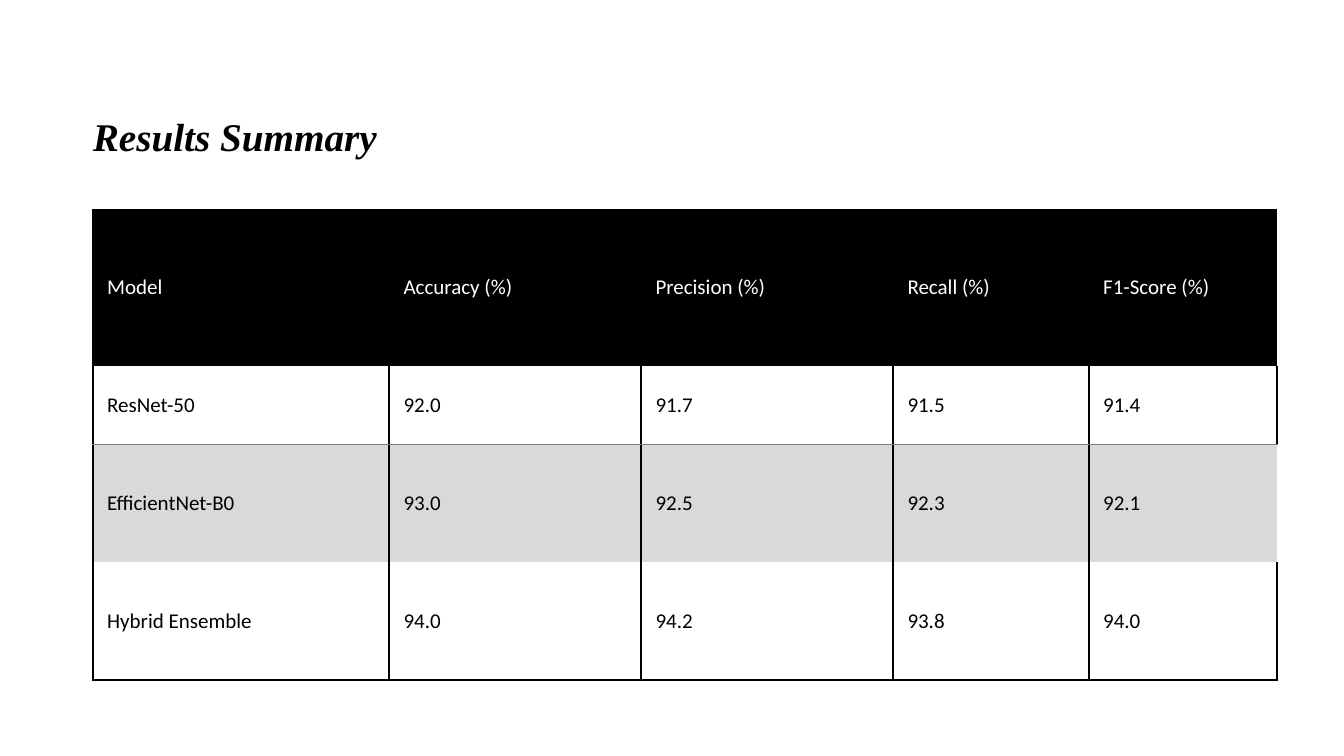
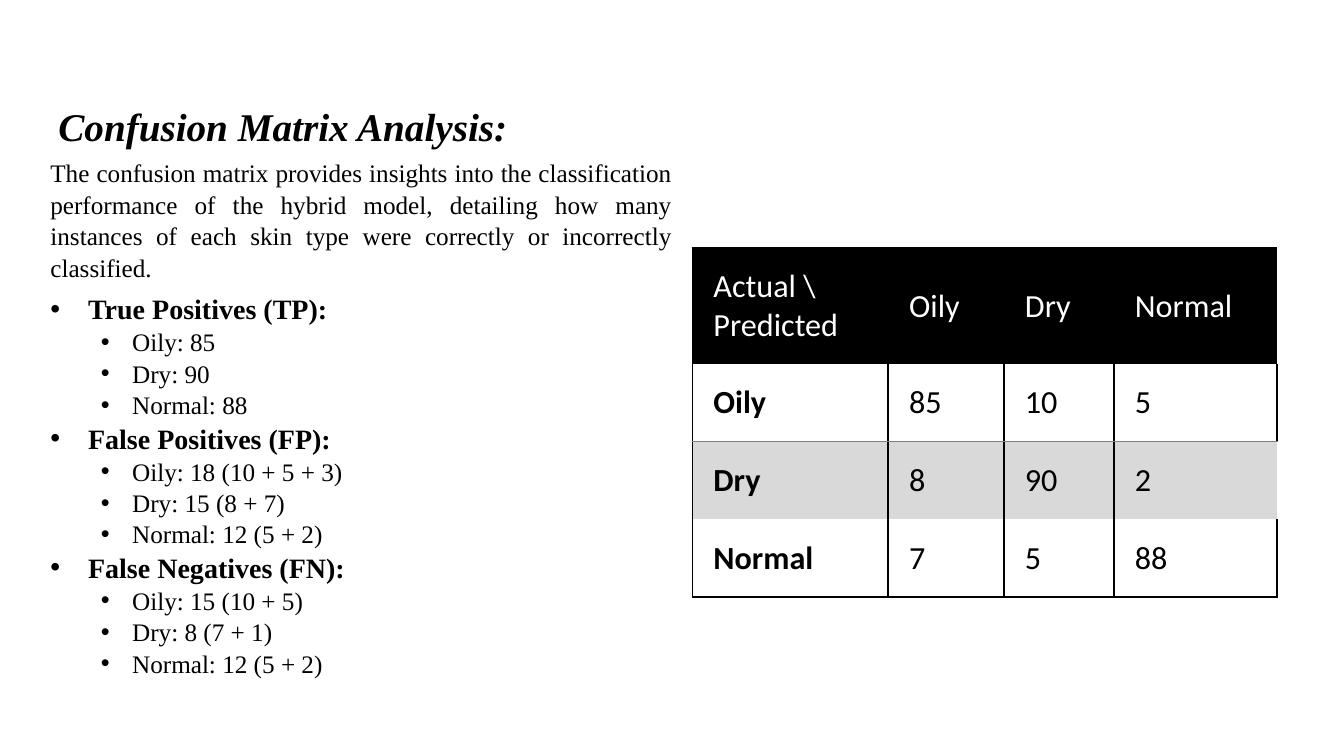
from lxml import etree
from pptx import Presentation
from pptx.dml.color import RGBColor
from pptx.enum.text import MSO_ANCHOR, MSO_AUTO_SIZE, PP_ALIGN
from pptx.oxml.ns import qn
from pptx.util import Cm, Pt

TOP, MIDDLE = MSO_ANCHOR.TOP, MSO_ANCHOR.MIDDLE
LEFT, JUSTIFY = PP_ALIGN.LEFT, PP_ALIGN.JUSTIFY
NO_AUTOFIT = MSO_AUTO_SIZE.NONE

BLACK = RGBColor(0x00, 0x00, 0x00)
WHITE = RGBColor(0xFF, 0xFF, 0xFF)
BAND = RGBColor(0xD9, 0xD9, 0xD9)
GREY = RGBColor(0x80, 0x80, 0x80)
SERIF, SANS, BULLET_FONT = "Times New Roman", "Calibri", "Arial"
LINE_SPACING = 1.04
SIDES = ("L", "R", "T", "B")
HEAVY, THIN = (BLACK, 1.5), (GREY, 0.5)
TITLE_LAYOUT, CONTENT_LAYOUT = 5, 1

RESULTS = {
    "at": (2.34, 5.28),
    "cols": (7.47, 6.35, 6.35, 4.93, 4.75),
    "heights": (3.94, 1.98, 2.97, 2.97),
    "margins": (0.36, 0.28, 0.28, 0.28),
    "size": 15,
    "bold_labels": False,
    "cells": [
        ("Model", "Accuracy (%)", "Precision (%)", "Recall (%)", "F1-Score (%)"),
        ("ResNet-50", "92.0", "91.7", "91.5", "91.4"),
        ("EfficientNet-B0", "93.0", "92.5", "92.3", "92.1"),
        ("Hybrid Ensemble", "94.0", "94.2", "93.8", "94.0"),
    ],
}
CONFUSION = {
    "at": (17.45, 6.25),
    "cols": (4.93, 2.92, 2.77, 4.11),
    "heights": (2.92, 1.96, 1.96, 1.96),
    "margins": (0.53, 0.41, 0.46, 0.41),
    "size": 23,
    "bold_labels": True,
    "cells": [
        ("Actual \\ Predicted", "Oily", "Dry", "Normal"),
        ("Oily", "85", "10", "5"),
        ("Dry", "8", "90", "2"),
        ("Normal", "7", "5", "88"),
    ],
}
INTRO = ("The confusion matrix provides insights into the classification "
         "performance of the hybrid model, detailing how many instances of each "
         "skin type were correctly or incorrectly classified.")
FINDINGS = [
    ("True Positives (TP):", ("Oily: 85", "Dry: 90", "Normal: 88")),
    ("False Positives (FP):",
     ("Oily: 18 (10 + 5 + 3)", "Dry: 15 (8 + 7)", "Normal: 12 (5 + 2)")),
    ("False Negatives (FN):",
     ("Oily: 15 (10 + 5)", "Dry: 8 (7 + 1)", "Normal: 12 (5 + 2)")),
]


def write(p, text, size, font=SERIF, color=BLACK, bold=False, italic=False,
          align=LEFT, after=0, spacing=LINE_SPACING):
    p.alignment = align
    p.line_spacing = spacing
    p.space_before = Pt(0)
    p.space_after = Pt(after)
    r = p.add_run()
    r.text = text
    r.font.name = font
    r.font.size = Pt(size)
    r.font.bold = bold
    r.font.italic = italic
    r.font.color.rgb = color


def indent(p, left, hang, bullet):
    pPr = p._p.get_or_add_pPr()
    pPr.set("marL", str(Cm(left)))
    pPr.set("indent", str(-Cm(hang)))
    if bullet:
        etree.SubElement(pPr, qn("a:buFont"), typeface=BULLET_FONT)
        etree.SubElement(pPr, qn("a:buChar"), char="•")
    else:
        etree.SubElement(pPr, qn("a:buNone"))


def place(sp, left, top, width, height):
    sp.left, sp.top, sp.width, sp.height = map(Cm, (left, top, width, height))
    tf = sp.text_frame
    tf.margin_left = tf.margin_right = tf.margin_top = tf.margin_bottom = 0
    tf.auto_size = NO_AUTOFIT
    tf.vertical_anchor = TOP
    tf.word_wrap = True
    return tf


def add_slide(prs, layout, title, left, top, width):
    s = prs.slides.add_slide(prs.slide_layouts[layout])
    tf = place(s.shapes.title, left, top, width, 1.35)
    write(tf.paragraphs[0], title, 28, bold=True, italic=True)
    return s


def set_borders(cell, borders):
    tcPr = cell._tc.get_or_add_tcPr()
    for side in SIDES:
        ln = etree.SubElement(tcPr, qn("a:ln" + side))
        if side in borders:
            color, width = borders[side]
            ln.set("w", str(Pt(width)))
            fill = etree.SubElement(ln, qn("a:solidFill"))
            etree.SubElement(fill, qn("a:srgbClr"), val=str(color))
        else:
            etree.SubElement(ln, qn("a:noFill"))


def cell_borders(row, first, last):
    if row == 0:
        return {"T": HEAVY, "L": HEAVY} if first else {"T": HEAVY}
    borders = {"L": HEAVY, "R": HEAVY}
    if row == 1:
        borders["B"] = THIN
    elif row == 2:
        borders["T"] = THIN
        if last:
            del borders["R"]
    else:
        borders["B"] = HEAVY
    return borders


def add_table(s, data):
    cols, heights, cells = data["cols"], data["heights"], data["cells"]
    box = (*data["at"], sum(cols), sum(heights))
    table = s.shapes.add_table(len(heights), len(cols), *map(Cm, box)).table
    table.first_row = table.horz_banding = False
    for column, width in zip(table.columns, cols):
        column.width = Cm(width)
    for i, (row, height) in enumerate(zip(table.rows, heights)):
        row.height = Cm(height)
        for j, (cell, text) in enumerate(zip(row.cells, cells[i])):
            (cell.margin_left, cell.margin_top, cell.margin_right,
             cell.margin_bottom) = map(Cm, data["margins"])
            cell.vertical_anchor = MIDDLE
            set_borders(cell, cell_borders(i, j == 0, j == len(cols) - 1))
            if i in (0, 2):
                cell.fill.solid()
                cell.fill.fore_color.rgb = BLACK if i == 0 else BAND
            else:
                cell.fill.background()
            write(cell.text_frame.paragraphs[0], text, data["size"], font=SANS,
                  color=WHITE if i == 0 else BLACK, spacing=1.0,
                  bold=data["bold_labels"] and i > 0 and j == 0)


def add_findings(s):
    tf = place(s.placeholders[1], 1.27, 3.94, 15.67, 13.87)
    p = tf.paragraphs[0]
    write(p, INTRO, 18, align=JUSTIFY, after=6)
    indent(p, 0, 0, False)
    for heading, counts in FINDINGS:
        p = tf.add_paragraph()
        write(p, heading, 20, bold=True)
        indent(p, 0.95, 0.95, True)
        for count in counts:
            p = tf.add_paragraph()
            p.level = 1
            write(p, count, 18)
            indent(p, 2.06, 0.79, True)


def main():
    prs = Presentation()
    prs.slide_width, prs.slide_height = Cm(33.87), Cm(19.05)
    s = add_slide(prs, TITLE_LAYOUT, "Results Summary", 2.34, 2.77, 28.63)
    add_table(s, RESULTS)
    s = add_slide(prs, CONTENT_LAYOUT, "Confusion Matrix Analysis:", 1.47, 2.54, 15.47)
    add_findings(s)
    add_table(s, CONFUSION)
    prs.save("out.pptx")


if __name__ == "__main__":
    main()
